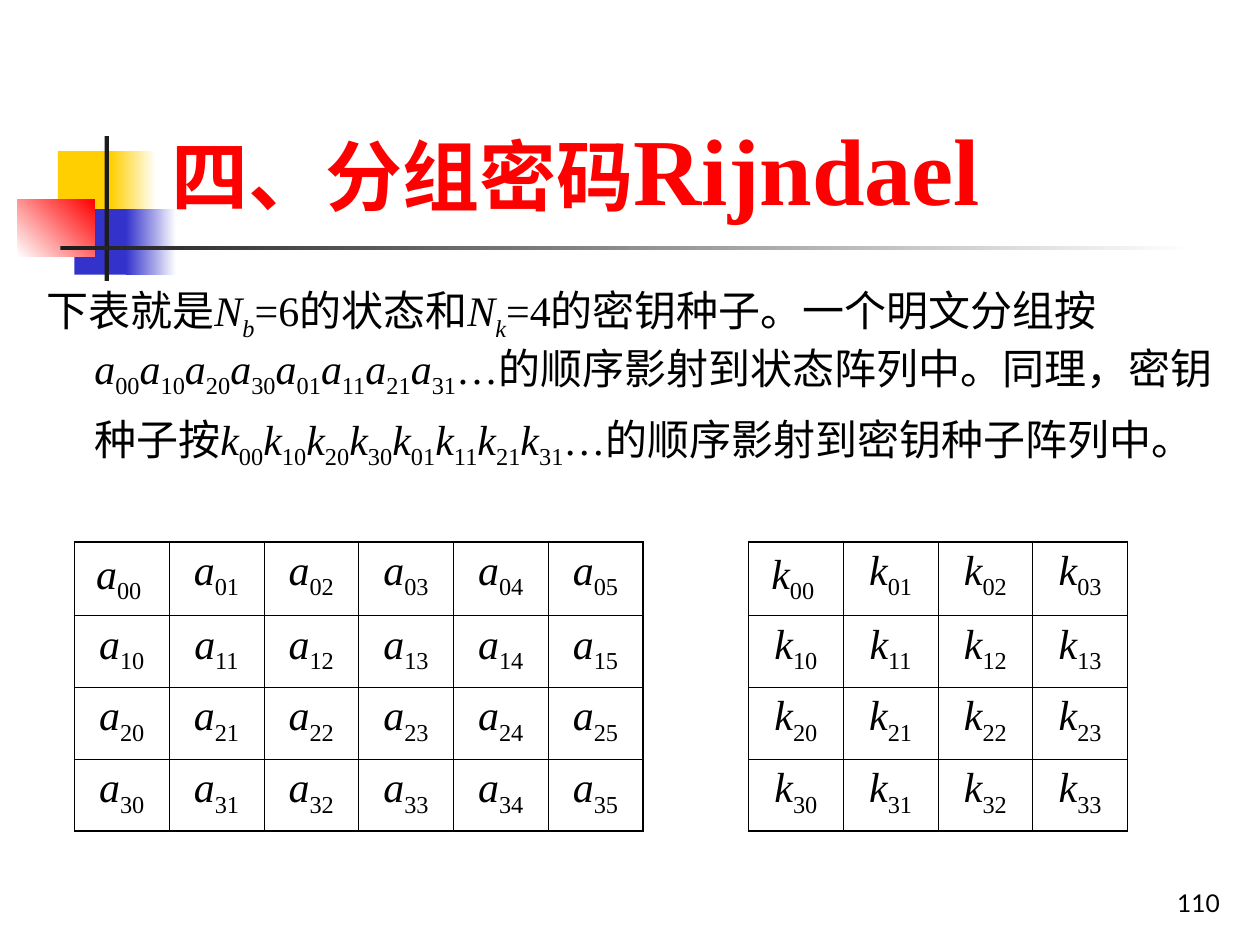
from lxml import etree
from pptx import Presentation, util as u
from pptx.dml.color import RGBColor
from pptx.enum import shapes, text
from pptx.oxml.ns import qn

BLACK = RGBColor(0x00, 0x00, 0x00)
WHITE = RGBColor(0xFF, 0xFF, 0xFF)
RED = RGBColor(0xFF, 0x00, 0x00)
GOLD = RGBColor(0xFF, 0xCF, 0x01)
BLUE = RGBColor(0x33, 0x33, 0xCC)
DARK = RGBColor(0x1C, 0x1C, 0x1C)
SERIF, SANS = "Times New Roman", "Lato"

deck = Presentation()
deck.slide_width, deck.slide_height = u.Inches(10), u.Inches(7.5)
slide = deck.slides.add_slide(deck.slide_layouts[5])


def area(x, y, w, h):
    """Turn percentages of the slide into left, top, width, height."""
    wide, high = deck.slide_width / 100, deck.slide_height / 100
    return int(x * wide), int(y * high), int(w * wide), int(h * high)


def put(par, words, size=24, font=SERIF, color=BLACK, bold=False, italic=False, sub=False):
    """Add one formatted run to a paragraph."""
    run = par.add_run()
    run.text = words
    run.font.size, run.font.name = u.Pt(size), font
    run.font.bold, run.font.italic = bold, italic
    run.font.color.rgb = color
    if sub:
        run.font._element.set("baseline", "-25000")


# Corner ornament and title rule: place, first colour, last colour, angle
decor = [
    ((4.6, 16, 4.8, 6.93), GOLD, GOLD, 0),
    ((8.8, 16, 3.6, 6.93), GOLD, WHITE, 0),
    ((5.9, 22.13, 4.6, 6.93), BLUE, BLUE, 0),
    ((10, 22.13, 4, 6.93), BLUE, WHITE, 0),
    ((1.4, 21.07, 6.1, 6.13), WHITE, RED, 45),
    ((8.3, 14.4, 0.35, 15.33), DARK, DARK, 0),
    ((4.8, 26, 90, 0.5), DARK, WHITE, 0),
]
for place, first, last, angle in decor:
    block = slide.shapes.add_shape(shapes.MSO_SHAPE.RECTANGLE, *area(*place))
    block.shadow.inherit = False
    block.line.fill.background()
    if first == last:
        block.fill.solid()
        block.fill.fore_color.rgb = first
    else:
        block.fill.gradient()
        block.fill.gradient_angle = angle
        for stop, tone in zip(block.fill.gradient_stops, (first, last)):
            stop.color.rgb = tone

# Title
title = slide.shapes.title
title.left, title.top, title.width, title.height = area(12.6, 3.07, 85.2, 21.33)
frame = title.text_frame
frame.auto_size = text.MSO_AUTO_SIZE.NONE
frame.vertical_anchor = text.MSO_ANCHOR.BOTTOM
par = frame.paragraphs[0]
par.alignment = text.PP_ALIGN.LEFT
put(par, "四、分组密码", size=44, font=SANS, color=RED, bold=True)
put(par, "Rijndael", size=54, color=RED, bold=True)

# Explanation with a hanging indent; i is italic, s is subscript
order = [f"{row}{col}" for col in range(2) for row in range(4)]
parts = [("下表就是", ""), ("N", "i"), ("b", "is"), ("=6的状态和", ""),
         ("N", "i"), ("k", "is"), ("=4的密钥种子。一个明文分组按", "")]
for name, tail in (("a", "…的顺序影射到状态阵列中。同理，密钥种子按"),
                   ("k", "…的顺序影射到密钥种子阵列中。")):
    for index in order:
        parts += [(name, "i"), (index, "s")]
    parts.append((tail, ""))

frame = slide.shapes.add_textbox(*area(2.7, 29.47, 95.2, 27)).text_frame
frame.word_wrap = True
par = frame.paragraphs[0]
props = par._p.get_or_add_pPr()
props.set("marL", str(u.Inches(0.38)))
props.set("indent", str(-u.Inches(0.38)))
for words, style in parts:
    put(par, words, italic="i" in style, sub="s" in style)
put(par, " ", size=32, font=SANS)  # makes the last line taller

# State and key arrays
ROWS = 4
for name, cols, left in (("a", 6, 5.9), ("k", 4, 59.4)):
    place = area(left, 57.33, 7.52 * cols, 30.4)
    grid = slide.shapes.add_table(ROWS, cols, *place).table
    grid.first_row = grid.horz_banding = False
    for row in range(ROWS):
        grid.rows[row].height = u.Inches(0.58 if row == 0 else 0.57)
        for col in range(cols):
            cell = grid.cell(row, col)
            cell.fill.background()
            par = cell.text_frame.paragraphs[0]
            par.alignment = text.PP_ALIGN.CENTER
            corner = row == col == 0
            if corner:
                cell.margin_top = u.Inches(0.08)
            put(par, name, italic=True)
            put(par, f"{row}{col}" + (" " if corner else ""), sub=True)
            # Heavy outer frame, thin inner lines
            outer = {"lnL": col == 0, "lnR": col == cols - 1,
                     "lnT": row == 0, "lnB": row == ROWS - 1}
            props = cell._tc.get_or_add_tcPr()
            for spot, (side, heavy) in enumerate(outer.items()):
                line = etree.Element(qn(f"a:{side}"), w=str(u.Pt(1.08 if heavy else 0.45)))
                fill = etree.SubElement(line, qn("a:solidFill"))
                etree.SubElement(fill, qn("a:srgbClr"), val=str(BLACK))
                props.insert(spot, line)

# Page number
frame = slide.shapes.add_textbox(*area(77, 91.07, 20.8, 6.67)).text_frame
frame.word_wrap = True
frame.vertical_anchor = text.MSO_ANCHOR.BOTTOM
par = frame.paragraphs[0]
par.alignment = text.PP_ALIGN.RIGHT
put(par, "110", size=14, font=SANS)

deck.save("out.pptx")
